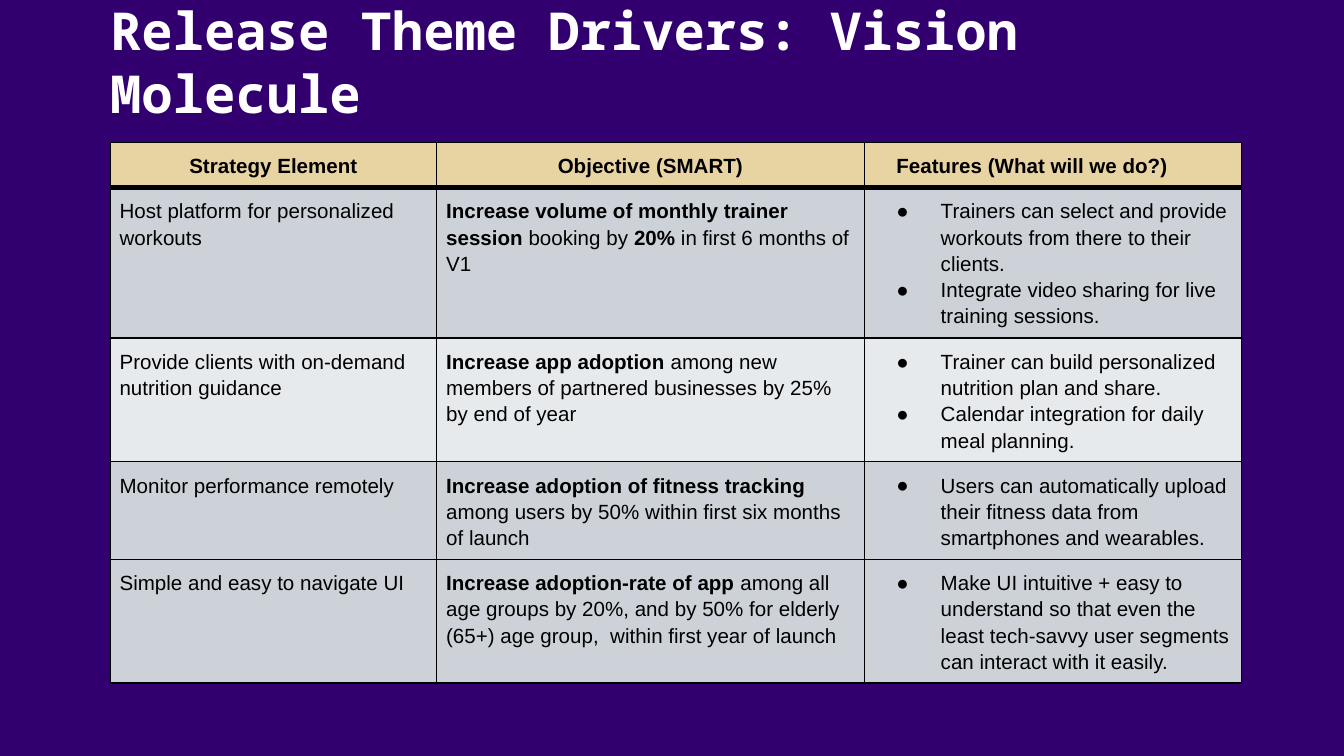
from dataclasses import dataclass

from lxml import etree
from pptx import Presentation
from pptx import util as u
from pptx.dml import color
from pptx.enum import text
from pptx.oxml import ns


@dataclass(frozen=True)
class Theme:
    back: str = "32006E"
    white: str = "FFFFFF"
    ink: str = "000000"
    gold: str = "E8D3A2"
    gray: str = "CCD2D8"
    pale: str = "E7EAED"
    head: str = "Noto Sans Mono"
    body: str = "Arial"
    big: float = 28
    small: float = 11
    thin: float = 0.75
    thick: float = 3


@dataclass(frozen=True)
class Span:
    words: str
    bold: bool = False


@dataclass(frozen=True)
class Para:
    spans: tuple[Span, ...]
    mid: bool = False
    dot: bool = False
    left: float = 0


@dataclass(frozen=True)
class Row:
    high: float
    fill: str
    cells: tuple[tuple[Para, ...], ...]


T = Theme()
WIDE = (2.43, 3.18, 2.81)
PAD = 0.07


def header(words: str, left: float = 0) -> tuple[Para, ...]:
    return (Para((Span(words, True),), mid=not left, left=left),)


def driver(high: float, fill: str, plan: str, goal: tuple[Span, ...], *todo: str) -> Row:
    tasks = tuple(Para((Span(item),), dot=True, left=0.5) for item in todo)
    return Row(high, fill, ((Para((Span(plan),)),), (Para(goal),), tasks))


ROWS = (
    Row(0.33, T.gold, (
        header("Strategy Element"),
        header("Objective (SMART)"),
        header("Features (What will we do?)", 0.17),
    )),
    driver(
        1.12, T.gray, "Host platform for personalized workouts",
        (Span("Increase volume of monthly trainer session", True), Span(" booking by "),
         Span("20%", True), Span(" in first 6 months of V1")),
        "Trainers can select and provide workouts from there to their clients.",
        "Integrate video sharing for live training sessions.",
    ),
    driver(
        0.92, T.pale, "Provide clients with on-demand nutrition guidance",
        (Span("Increase app adoption", True),
         Span(" among new members of partnered businesses by 25% by end of year")),
        "Trainer can build personalized nutrition plan and share.",
        "Calendar integration for daily meal planning.",
    ),
    driver(
        0.72, T.gray, "Monitor performance remotely",
        (Span("Increase adoption of fitness tracking", True),
         Span(" among users by 50% within first six months of launch")),
        "Users can automatically upload their fitness data from smartphones and wearables.",
    ),
    driver(
        0.92, T.gray, "Simple and easy to navigate UI",
        (Span("Increase adoption-rate of app", True),
         Span(" among all age groups by 20%, and by 50% for elderly (65+) age group,"
              "  within first year of launch")),
        "Make UI intuitive + easy to understand so that even the least tech-savvy "
        "user segments can interact with it easily.",
    ),
)


def rgb(code: str) -> color.RGBColor:
    return color.RGBColor.from_string(code)


def add_run(para, span: Span, face: str, size: float, ink: str) -> None:
    run = para.add_run()
    run.text = span.words
    font = run.font
    font.name, font.size, font.bold = face, u.Pt(size), span.bold
    font.color.rgb = rgb(ink)


def add_para(para, item: Para) -> None:
    props = para._p.get_or_add_pPr()
    if item.left:
        props.set("marL", str(u.Inches(item.left)))
    if item.dot:
        props.set("indent", str(u.Inches(-0.33)))
        tint = etree.SubElement(props, ns.qn("a:buClr"))
        etree.SubElement(tint, ns.qn("a:srgbClr"), val=T.ink)
        etree.SubElement(props, ns.qn("a:buFont"), typeface=T.body)
        etree.SubElement(props, ns.qn("a:buChar"), char="●")
    para.line_spacing = 1.15
    para.alignment = text.PP_ALIGN.CENTER if item.mid else text.PP_ALIGN.LEFT
    for span in item.spans:
        add_run(para, span, T.body, T.small, T.ink)


def add_edges(cell, top: float, base: float) -> None:
    props = cell._tc.get_or_add_tcPr()
    edges = (("L", T.thin), ("R", T.thin), ("T", top), ("B", base))
    for spot, (side, size) in enumerate(edges):
        line = etree.Element(ns.qn(f"a:ln{side}"), w=str(u.Pt(size)))
        fill = etree.SubElement(line, ns.qn("a:solidFill"))
        etree.SubElement(fill, ns.qn("a:srgbClr"), val=T.ink)
        props.insert(spot, line)


def fill_cell(cell, paras: tuple[Para, ...], fill: str, row: int) -> None:
    cell.margin_left = cell.margin_right = u.Inches(PAD)
    cell.margin_top = cell.margin_bottom = u.Inches(PAD)
    cell.fill.solid()
    cell.fill.fore_color.rgb = rgb(fill)
    add_edges(cell, T.thick if row == 1 else T.thin, T.thick if row == 0 else T.thin)
    frame = cell.text_frame
    for spot, item in enumerate(paras):
        add_para(frame.add_paragraph() if spot else frame.paragraphs[0], item)


def add_title(slide, words: str) -> None:
    title = slide.shapes.title
    title.left, title.top = u.Inches(0.72), u.Inches(0.15)
    title.width, title.height = u.Inches(8.04), u.Inches(0.82)
    frame = title.text_frame
    frame.word_wrap = True
    frame.auto_size = text.MSO_AUTO_SIZE.NONE
    frame.vertical_anchor = text.MSO_ANCHOR.BOTTOM
    para = frame.paragraphs[0]
    para.alignment = text.PP_ALIGN.LEFT
    para.line_spacing = 1.0
    add_run(para, Span(words, True), T.head, T.big, T.white)


def add_grid(slide, rows: tuple[Row, ...]) -> None:
    high = sum(row.high for row in rows)
    grid = slide.shapes.add_table(
        len(rows), len(WIDE), u.Inches(0.82), u.Inches(1.06),
        u.Inches(sum(WIDE)), u.Inches(high),
    ).table
    grid.horz_banding = False
    for col, wide in zip(grid.columns, WIDE):
        col.width = u.Inches(wide)
    for r, row in enumerate(rows):
        grid.rows[r].height = u.Inches(row.high)
        for c, paras in enumerate(row.cells):
            fill_cell(grid.cell(r, c), paras, row.fill, r)


def main() -> None:
    deck = Presentation()
    deck.slide_width, deck.slide_height = u.Inches(10), u.Inches(10 * 9 / 16)
    slide = deck.slides.add_slide(deck.slide_layouts[5])
    slide.background.fill.solid()
    slide.background.fill.fore_color.rgb = rgb(T.back)
    add_title(slide, "Release Theme Drivers: Vision Molecule")
    add_grid(slide, ROWS)
    deck.save("out.pptx")


if __name__ == "__main__":
    main()
